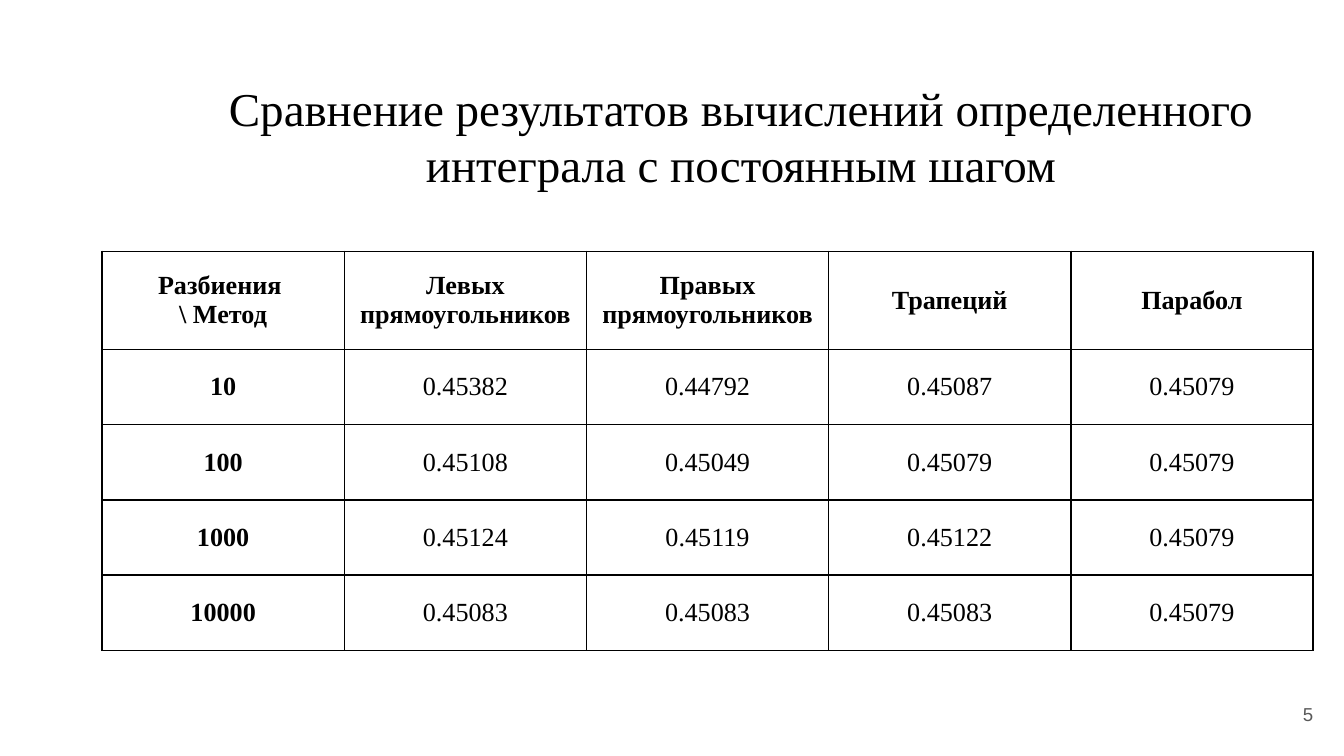
from dataclasses import dataclass

from lxml import etree
from pptx import Presentation
from pptx.dml.color import RGBColor
from pptx.enum.text import MSO_ANCHOR, MSO_AUTO_SIZE, PP_ALIGN
from pptx.oxml.ns import qn
from pptx.util import Inches, Pt

TOP, MIDDLE = MSO_ANCHOR.TOP, MSO_ANCHOR.MIDDLE
CENTER, RIGHT = PP_ALIGN.CENTER, PP_ALIGN.RIGHT
NO_FIT = MSO_AUTO_SIZE.NONE
TITLE_ONLY = 5


@dataclass(frozen=True)
class Theme:
    serif: str = "Times New Roman"
    sans: str = "Arial"
    ink: str = "000000"
    muted: str = "595959"
    title: float = 25.2
    cell: float = 14
    number: float = 10
    rule: float = 1


THEME = Theme()

HEADS = ["Разбиения \n\\ Метод", "Левых прямоугольников",
         "Правых прямоугольников", "Трапеций", "Парабол"]
RESULTS = [
    ["10", "0.45382", "0.44792", "0.45087", "0.45079"],
    ["100", "0.45108", "0.45049", "0.45079", "0.45079"],
    ["1000", "0.45124", "0.45119", "0.45122", "0.45079"],
    ["10000", "0.45083", "0.45083", "0.45083", "0.45079"],
]


def write(frame, text, size, font=THEME.serif, color=THEME.ink, bold=False,
          align=CENTER):
    frame.word_wrap = True
    frame.text = text
    for para in frame.paragraphs:
        para.alignment = align
        for run in para.runs:
            run.font.name = font
            run.font.size = Pt(size)
            run.font.bold = bold
            run.font.color.rgb = RGBColor.from_string(color)


def place(shape, box):
    shape.left, shape.top, shape.width, shape.height = map(Inches, box)


def pad(area, inset):
    area.margin_left = area.margin_right = Inches(inset)
    area.margin_top = area.margin_bottom = Inches(inset)


def add_title(slide, box, text):
    title = slide.shapes.title
    place(title, box)
    frame = title.text_frame
    frame.auto_size = NO_FIT
    frame.vertical_anchor = TOP
    pad(frame, 0.1)
    write(frame, text, THEME.title)


def add_number(slide, box, text):
    frame = slide.shapes.add_textbox(*map(Inches, box)).text_frame
    frame.vertical_anchor = MIDDLE
    pad(frame, 0.1)
    write(frame, text, THEME.number, font=THEME.sans, color=THEME.muted,
          align=RIGHT)


def add_borders(cell):
    props = cell._tc.get_or_add_tcPr()
    for spot, side in enumerate(("lnL", "lnR", "lnT", "lnB")):
        line = etree.Element(qn(f"a:{side}"), w=str(Pt(THEME.rule)))
        fill = etree.SubElement(line, qn("a:solidFill"))
        etree.SubElement(fill, qn("a:srgbClr"), val=THEME.ink)
        props.insert(spot, line)


def add_results(slide, box, head):
    """Draw the table; head is the height of its first row."""
    rows = [HEADS] + RESULTS
    height = box[3]
    table = slide.shapes.add_table(
        len(rows), len(HEADS), *map(Inches, box)).table
    for col in table.columns:
        col.width = Inches(box[2] / len(HEADS))
    for i, texts in enumerate(rows):
        table.rows[i].height = Inches(
            (height - head) / len(RESULTS) if i else head)
        for j, text in enumerate(texts):
            cell = table.cell(i, j)
            cell.fill.background()
            cell.vertical_anchor = MIDDLE
            pad(cell, 0.07)
            write(cell.text_frame, text, THEME.cell, bold=i == 0 or j == 0)
            add_borders(cell)


def main():
    deck = Presentation()
    deck.slide_width = Inches(10)
    deck.slide_height = deck.slide_width * 9 // 16
    slide = deck.slides.add_slide(deck.slide_layouts[TITLE_ONLY])
    add_title(slide, (1.37, 0.49, 8.29, 0.63),
              "Сравнение результатов вычислений определенного "
              "интеграла с постоянным шагом")
    add_number(slide, (9.27, 5.1, 0.6, 0.43), "5")
    add_results(slide, (0.76, 1.87, 9.01, 2.97), head=0.73)
    deck.save("out.pptx")


if __name__ == "__main__":
    main()
